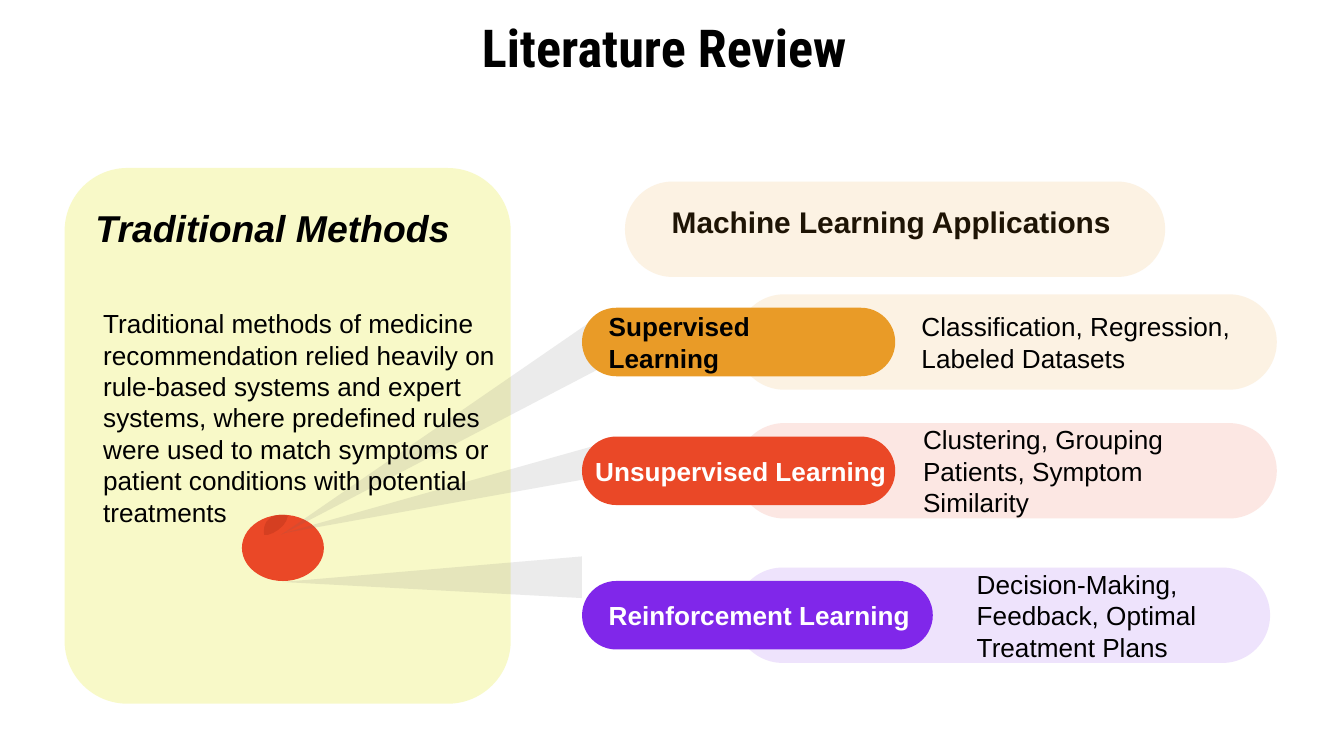
from lxml.etree import SubElement
from pptx import Presentation
from pptx.dml.color import RGBColor
from pptx.enum.shapes import MSO_SHAPE
from pptx.enum.text import MSO_ANCHOR, PP_ALIGN
from pptx.oxml.ns import qn
from pptx.util import Pt

AMBER, RED, VIOLET = "E99B27", "EA4827", "8027EA"
BLACK, WHITE = "000000", "FFFFFF"
TINT = 13  # opacity in percent of the pale pills and the beams
PILL_HEIGHT, BAND_HEIGHT, TEXT_HEIGHT = 36.7, 51.1, 26
PILL_LEFT = 311.8

TITLE = "Literature Review"
PANEL_HEADING = "Traditional Methods"
PANEL_TEXT = (
    "Traditional methods of medicine recommendation relied heavily on "
    "rule-based systems and expert systems, where predefined rules were used "
    "to match symptoms or patient conditions with potential treatments"
)
ML_HEADING = "Machine Learning Applications"

# Horizontal extents are (left, width)
ROWS = [
    dict(label="Supervised Learning", detail="Classification, Regression, Labeled Datasets",
         color=AMBER, ink=BLACK, center=183.2, pill_width=167.8,
         band=(394.6, 289.4), label_x=(319, 152.6), detail_x=(486.6, 180)),
    dict(label="Unsupervised Learning", detail="Clustering, Grouping Patients, Symptom Similarity",
         color=RED, ink=WHITE, center=252.2, pill_width=167.8,
         band=(394.6, 289.4), label_x=(311.8, 175.7), detail_x=(487.4, 192)),
    dict(label="Reinforcement Learning", detail="Decision-Making, Feedback, Optimal Treatment Plans",
         color=VIOLET, ink=WHITE, center=329.6, pill_width=187.9,
         band=(393.8, 286.6), label_x=(319, 188), detail_x=(516.2, 175)),
]
BEAMS = [
    [(150.5, 286.6), (316.8, 172.1), (329.8, 193)],
    [(151.2, 285.8), (320.4, 238.3), (327.6, 254.2)],
    [(151.2, 311.8), (311.8, 298.1), (311.8, 320.4)],
]
LEAF = [(149.8, 275.8), (147, 276.3), (144.7, 277.6), (142.6, 279.7), (141.6, 282.2),
        (141.3, 285), (141.6, 286.6), (143.3, 286.6), (146.2, 285.6), (149, 283.9),
        (151.6, 281.6), (153.4, 279), (154.2, 276.5), (152.6, 275.8)]


def paint(s, color, opacity=100):
    s.shadow.inherit = False
    s.line.fill.background()
    s.fill.solid()
    s.fill.fore_color.rgb = RGBColor.from_string(color)
    if opacity < 100:
        clr = s.fill._xPr.find(qn("a:solidFill"))[0]
        SubElement(clr, qn("a:alpha")).set("val", str(opacity * 1000))


def add_preset(kind, left, top, width, height, color, opacity=100, corner=None):
    s = slide.shapes.add_shape(kind, Pt(left), Pt(top), Pt(width), Pt(height))
    if corner is not None:
        s.adjustments[0] = corner
    paint(s, color, opacity)


def add_pill(left, center, width, height, color, opacity=100):
    add_preset(MSO_SHAPE.ROUNDED_RECTANGLE, left, center - height / 2, width, height,
               color, opacity, 0.5)


def add_polygon(points, color, opacity=100):
    (x, y), *rest = [(Pt(px), Pt(py)) for px, py in points]
    builder = slide.shapes.build_freeform(x, y)
    builder.add_line_segments(rest, close=True)
    paint(builder.convert_to_shape(), color, opacity)


def add_text(text, left, top, width, height, size, color=BLACK, bold=False, italic=False,
             font="Arial", align=PP_ALIGN.LEFT, middle=True):
    """Middle-anchored boxes have even margins; the others keep the defaults."""
    tf = slide.shapes.add_textbox(Pt(left), Pt(top), Pt(width), Pt(height)).text_frame
    tf.word_wrap = True
    if middle:
        tf.vertical_anchor = MSO_ANCHOR.MIDDLE
        tf.margin_top = tf.margin_bottom = Pt(7.2)
    p = tf.paragraphs[0]
    p.text = text
    p.alignment = align
    p.font.name, p.font.size = font, Pt(size)
    p.font.bold, p.font.italic = bold, italic
    p.font.color.rgb = RGBColor.from_string(color)


prs = Presentation()
prs.slide_width, prs.slide_height = Pt(720), Pt(405)
slide = prs.slides.add_slide(prs.slide_layouts[6])

add_preset(MSO_SHAPE.ROUNDED_RECTANGLE, 34.6, 90, 239, 287, "E4EA27", 25, 0.141)
add_text(PANEL_HEADING, 44, 96.5, 251, 51, 20, bold=True, italic=True)
add_text(TITLE, 31.7, 10.1, 648, 29.5, 28, bold=True, font="Roboto Condensed",
         align=PP_ALIGN.CENTER)

add_preset(MSO_SHAPE.OVAL, 129.6, 275.8, 43.9, 35.5, RED)
add_polygon(LEAF, "D53F21")
for beam in BEAMS:
    add_polygon(beam, "666666", TINT)

for row in ROWS:
    center = row["center"]
    text_top = center - TEXT_HEIGHT / 2
    band_left, band_width = row["band"]
    add_pill(band_left, center, band_width, BAND_HEIGHT, row["color"], TINT)
    add_pill(PILL_LEFT, center, row["pill_width"], PILL_HEIGHT, row["color"])
    for text, (left, width), ink, bold in [
        (row["detail"], row["detail_x"], BLACK, False),
        (row["label"], row["label_x"], row["ink"], True),
    ]:
        add_text(text, left, text_top, width, TEXT_HEIGHT, 14, ink, bold)

add_text(PANEL_TEXT, 48.2, 161.3, 238.3, 126, 14, middle=False)
add_text(ML_HEADING, 352.8, 105.8, 270.7, 44, 16, bold=True, middle=False)
add_pill(334.8, 122.8, 289.4, BAND_HEIGHT, AMBER, TINT)

prs.save("out.pptx")
